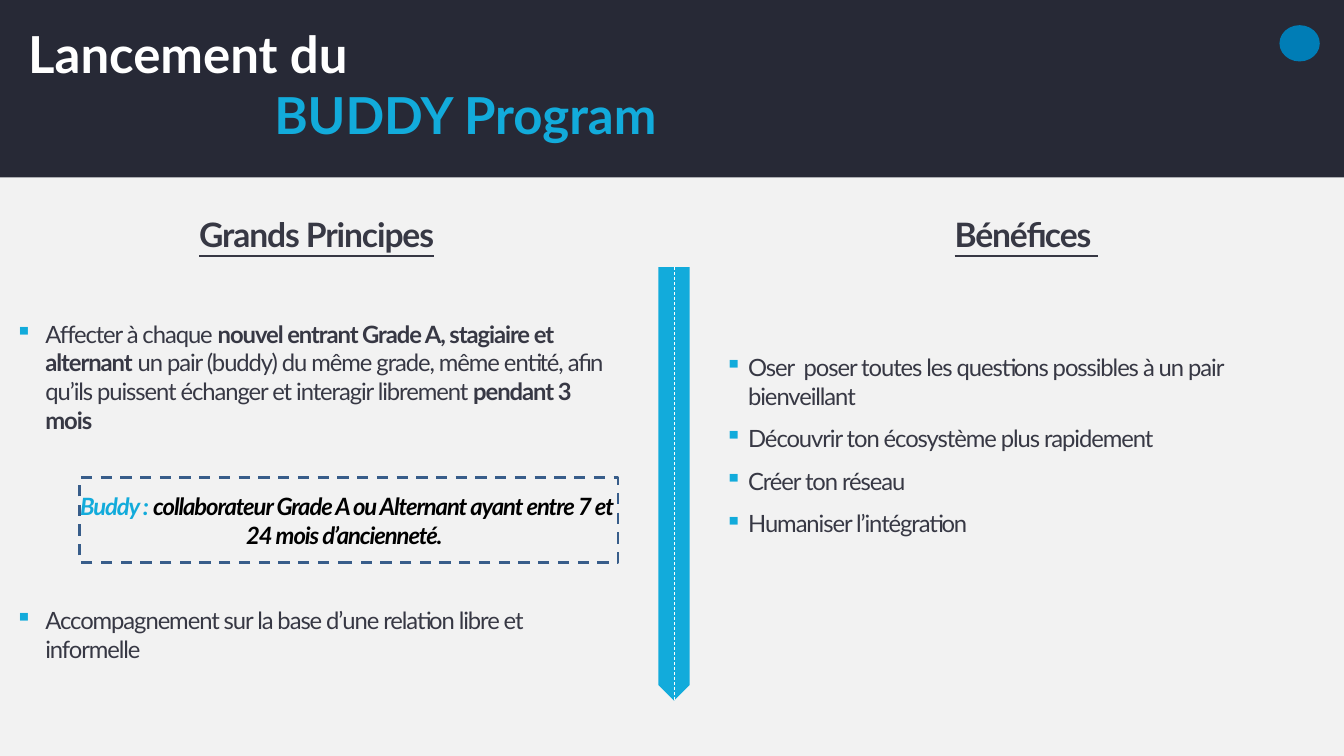
from lxml.etree import SubElement
from pptx import Presentation
from pptx.dml.color import RGBColor
from pptx.enum.dml import MSO_LINE
from pptx.enum.shapes import MSO_CONNECTOR, MSO_SHAPE
from pptx.enum.text import PP_ALIGN
from pptx.oxml.ns import qn
from pptx.util import Inches, Pt

WIDTH, HEIGHT, HEADER = 13.33, 7.5, 1.76
CYAN, INK, NAVY, PALE, WHITE = "12ABDB", "373844", "272936", "F2F2F2", "FFFFFF"
COLUMN_TOP, COLUMN_WIDTH = 2.04, 6.18
LEFT_COLUMN, RIGHT_COLUMN = 0.03, 7.07


def color(value):
    return RGBColor.from_string(value)


def add_block(slide, kind, left, top, width, height, fill=None):
    shape = slide.shapes.add_shape(
        kind, Inches(left), Inches(top), Inches(width), Inches(height))
    shape.shadow.inherit = False
    shape.line.fill.background()
    if fill:
        shape.fill.solid()
        shape.fill.fore_color.rgb = color(fill)
    else:
        shape.fill.background()
    return shape


def add_frame(slide, left, top, width, height, insets=(0.12, 0, 0.08, 0)):
    frame = slide.shapes.add_textbox(
        Inches(left), Inches(top), Inches(width), Inches(height)).text_frame
    frame.word_wrap = True
    frame.margin_left, frame.margin_top, frame.margin_right, frame.margin_bottom = map(Inches, insets)
    return frame


def add_paragraph(frame, first=False, indent=0, bullet=False, align=PP_ALIGN.LEFT,
                  before=0, spacing=None):
    paragraph = frame.paragraphs[0] if first else frame.add_paragraph()
    paragraph.alignment = align
    paragraph.space_before = Pt(before)
    if spacing:
        paragraph.line_spacing = spacing
    properties = paragraph._p.get_or_add_pPr()
    properties.set("marL", str(Inches(indent)))
    properties.set("indent", str(Inches(-indent if bullet else 0)))
    if bullet:
        bullet_color = SubElement(properties, qn("a:buClr"))
        SubElement(bullet_color, qn("a:srgbClr"), val=CYAN)
        SubElement(properties, qn("a:buChar"), char="▪")
    return paragraph


def add_text(paragraph, text, size=17, fill=INK, bold=False, italic=False,
             underline=False, tracking=-0.8):
    run = paragraph.add_run()
    run.text = text
    font = run.font
    font.name, font.size = "Lato", Pt(size)
    font.bold, font.italic, font.underline = bold, italic, underline
    font.color.rgb = color(fill)
    run._r.get_or_add_rPr().set("spc", str(int(tracking * 100)))


def add_header(slide):
    add_block(slide, MSO_SHAPE.RECTANGLE, 0, 0, WIDTH, HEADER, NAVY)
    add_block(slide, MSO_SHAPE.OVAL, 12.69, 0.25, 0.4, 0.36, "007DB6")
    frame = add_frame(slide, 0.15, 0.21, 10.45, 1.24, (0, 0.01, 0, 0))
    lines = [("Lancement du", 0.13, WHITE), ("BUDDY Program", 2.57, CYAN)]
    for index, (text, indent, fill) in enumerate(lines):
        paragraph = add_paragraph(frame, first=index == 0, indent=indent)
        add_text(paragraph, text, size=36.4, fill=fill, bold=True, tracking=0)


def add_heading(slide, left, text):
    frame = add_frame(slide, left, COLUMN_TOP, COLUMN_WIDTH, 0.6, (0.12, 0.16, 0.08, 0))
    paragraph = add_paragraph(frame, first=True, align=PP_ALIGN.CENTER, spacing=0.8)
    add_text(paragraph, text, size=24, bold=True, underline=True)


def add_principles(slide, left):
    add_heading(slide, left, "Grands Principes")
    frame = add_frame(slide, left, 3.17, COLUMN_WIDTH, 3.5)
    assignment = add_paragraph(frame, first=True, indent=0.3, bullet=True)
    add_text(assignment, "Affecter à chaque ")
    add_text(assignment, "nouvel entrant Grade A, stagiaire et alternant", bold=True)
    add_text(assignment, " un pair (buddy) du même grade, même entité, afin "
                         "qu’ils puissent échanger et interagir librement ")
    add_text(assignment, "pendant 3 mois", bold=True)
    definition = add_paragraph(frame, indent=0.59, align=PP_ALIGN.CENTER, before=41.5)
    add_text(definition, "Buddy : ", fill=CYAN, bold=True, italic=True)
    add_text(definition, "collaborateur Grade A ou Alternant ayant entre 7 et "
                         "24 mois d’ancienneté. ", fill="000000", bold=True, italic=True)
    support = add_paragraph(frame, indent=0.3, bullet=True, before=40.5)
    add_text(support, "Accompagnement sur la base d’une relation libre et informelle")
    border = add_block(slide, MSO_SHAPE.RECTANGLE, left + 0.76, 4.74, 5.34, 0.84)
    border.line.color.rgb = color("385D8A")
    border.line.width = Pt(2)
    border.line.dash_style = MSO_LINE.DASH


def add_benefits(slide, left):
    add_heading(slide, left, "Bénéfices ")
    frame = add_frame(slide, left, 3.5, COLUMN_WIDTH, 2.2)
    benefits = ["Oser  poser toutes les questions possibles à un pair bienveillant",
                "Découvrir ton écosystème plus rapidement",
                "Créer ton réseau",
                "Humaniser l’intégration"]
    for index, benefit in enumerate(benefits):
        paragraph = add_paragraph(frame, first=index == 0, indent=0.23, bullet=True,
                                  before=10 if index else 0)
        add_text(paragraph, benefit)


def add_divider(slide, left, top, width, height):
    right, middle, bottom = left + width, left + width / 2, top + height
    shoulder = bottom - width / 2
    builder = slide.shapes.build_freeform(Inches(left), Inches(top))
    corners = [(right, top), (right, shoulder), (middle, bottom), (left, shoulder)]
    builder.add_line_segments([(Inches(x), Inches(y)) for x, y in corners], close=True)
    arrow = builder.convert_to_shape()
    arrow.shadow.inherit = False
    arrow.fill.solid()
    arrow.fill.fore_color.rgb = color(CYAN)
    arrow.line.fill.background()
    road = slide.shapes.add_connector(
        MSO_CONNECTOR.STRAIGHT, Inches(middle), Inches(top), Inches(middle), Inches(bottom))
    road.line.color.rgb = color(WHITE)
    road.line.width = Pt(0.5)
    road.line.dash_style = MSO_LINE.DASH
    SubElement(road._element.spPr, qn("a:effectLst"))


def main():
    presentation = Presentation()
    presentation.slide_width, presentation.slide_height = Inches(WIDTH), Inches(HEIGHT)
    slide = presentation.slides.add_slide(presentation.slide_layouts[6])
    add_block(slide, MSO_SHAPE.RECTANGLE, 0, HEADER, WIDTH, HEIGHT - HEADER, PALE)
    add_header(slide)
    add_principles(slide, LEFT_COLUMN)
    add_benefits(slide, RIGHT_COLUMN)
    add_divider(slide, 6.53, 2.65, 0.31, 4.3)
    presentation.save("out.pptx")


if __name__ == "__main__":
    main()
